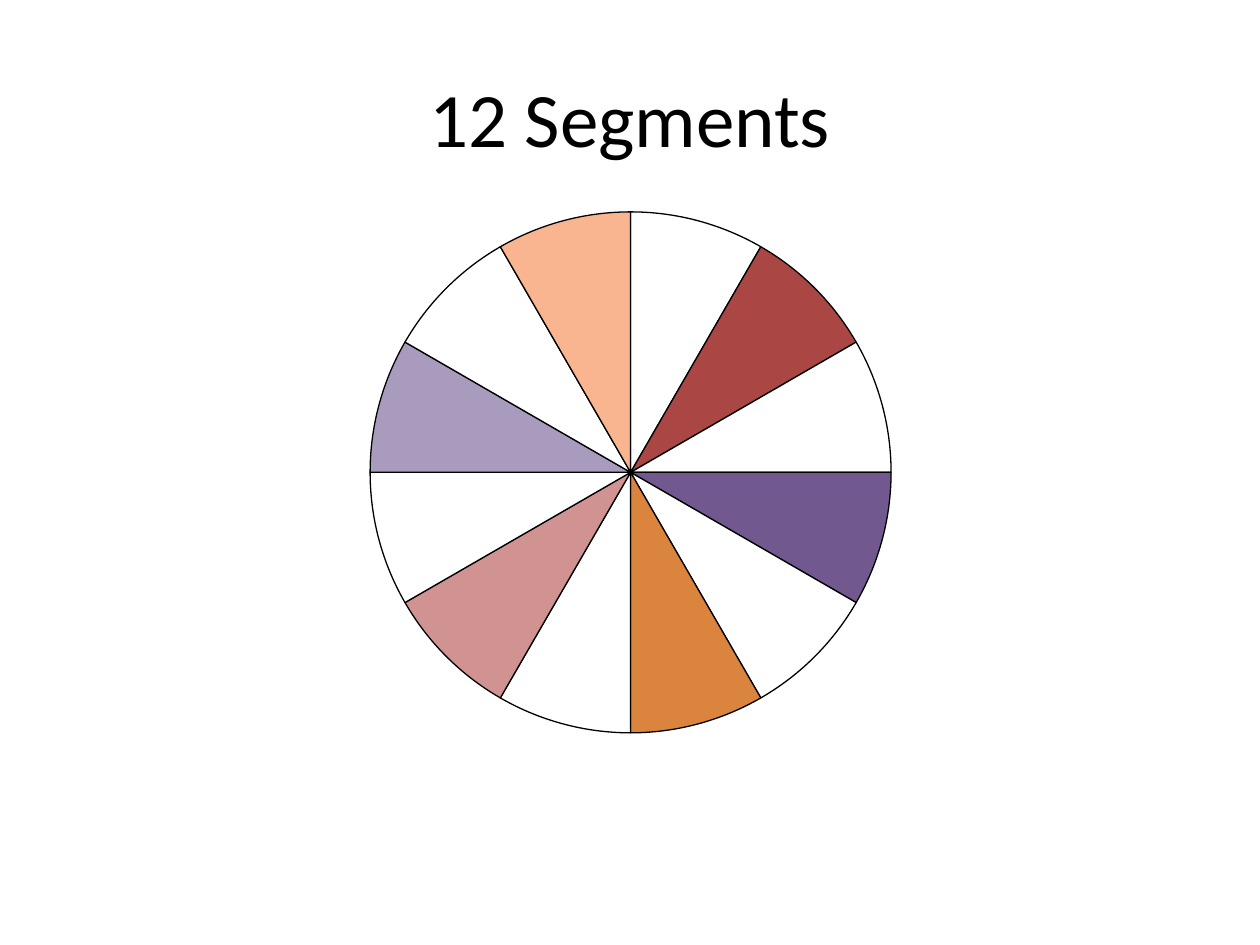
from lxml.etree import SubElement
from pptx import Presentation
from pptx.chart.data import CategoryChartData
from pptx.dml.color import RGBColor
from pptx.enum.chart import XL_CHART_TYPE
from pptx.enum.text import MSO_ANCHOR, PP_ALIGN
from pptx.oxml.ns import qn
from pptx.util import Inches, Pt

FONT = "Calibri"
COLORS = {
    "black": "000000",
    "white": "FFFFFF",
    "red": "AA4643",
    "purple": "71588F",
    "orange": "DB843D",
    "rose": "D19392",
    "lilac": "A99BBD",
    "peach": "F9B590",
}
ACCENTS = ["red", "purple", "orange", "rose", "lilac", "peach"]
COUNT = 12


def color(name):
    return RGBColor.from_string(COLORS[name])


def style(font, size):
    font.name = FONT
    font.size = Pt(size)
    font.color.rgb = color("black")


def add_title(slide, text):
    title = slide.shapes.title
    title.left, title.top = Inches(0.5), Inches(0.3)
    title.width, title.height = Inches(9), Inches(1.25)
    frame = title.text_frame
    frame.text = text
    frame.vertical_anchor = MSO_ANCHOR.MIDDLE
    line = frame.paragraphs[0]
    line.alignment = PP_ALIGN.CENTER
    style(line.font, 44)
    slide.shapes._spTree.append(title._element)


def set_plot(chart, x, y, w, h):
    area = chart._chartSpace.chart.plotArea
    layout = area.find(qn("c:layout"))
    if layout is None:
        layout = SubElement(area, qn("c:layout"))
        area.insert(0, layout)
    manual = SubElement(layout, qn("c:manualLayout"))
    rules = [("layoutTarget", "inner"), ("xMode", "edge"), ("yMode", "edge"),
             ("x", x), ("y", y), ("w", w), ("h", h)]
    for tag, value in rules:
        SubElement(manual, qn("c:" + tag)).set("val", str(value))


def add_wheel(slide):
    data = CategoryChartData()
    data.categories = [str(n + 1) for n in range(COUNT)]
    data.add_series("Series 1", [8] * COUNT)
    frame = slide.shapes.add_chart(
        XL_CHART_TYPE.PIE, Inches(1.67), Inches(1.53),
        Inches(6.67), Inches(4.44), data)
    chart = frame.chart
    chart.has_legend = False
    chart.has_title = False
    style(chart.font, 18)
    plot = chart.plots[0]
    plot.vary_by_categories = True
    for n in range(COUNT):
        part = plot.series[0].points[n].format
        part.fill.solid()
        part.fill.fore_color.rgb = color(ACCENTS[n // 2] if n % 2 else "white")
        part.line.color.rgb = color("black")
        part.line.width = Pt(0.75)
    set_plot(chart, 0.19, 0.03, 0.62, 0.94)


def main():
    deck = Presentation()
    deck.slide_width, deck.slide_height = Inches(10), Inches(7.5)
    slide = deck.slides.add_slide(deck.slide_layouts[5])
    add_wheel(slide)
    add_title(slide, "12 Segments")
    deck.save("out.pptx")


main()
